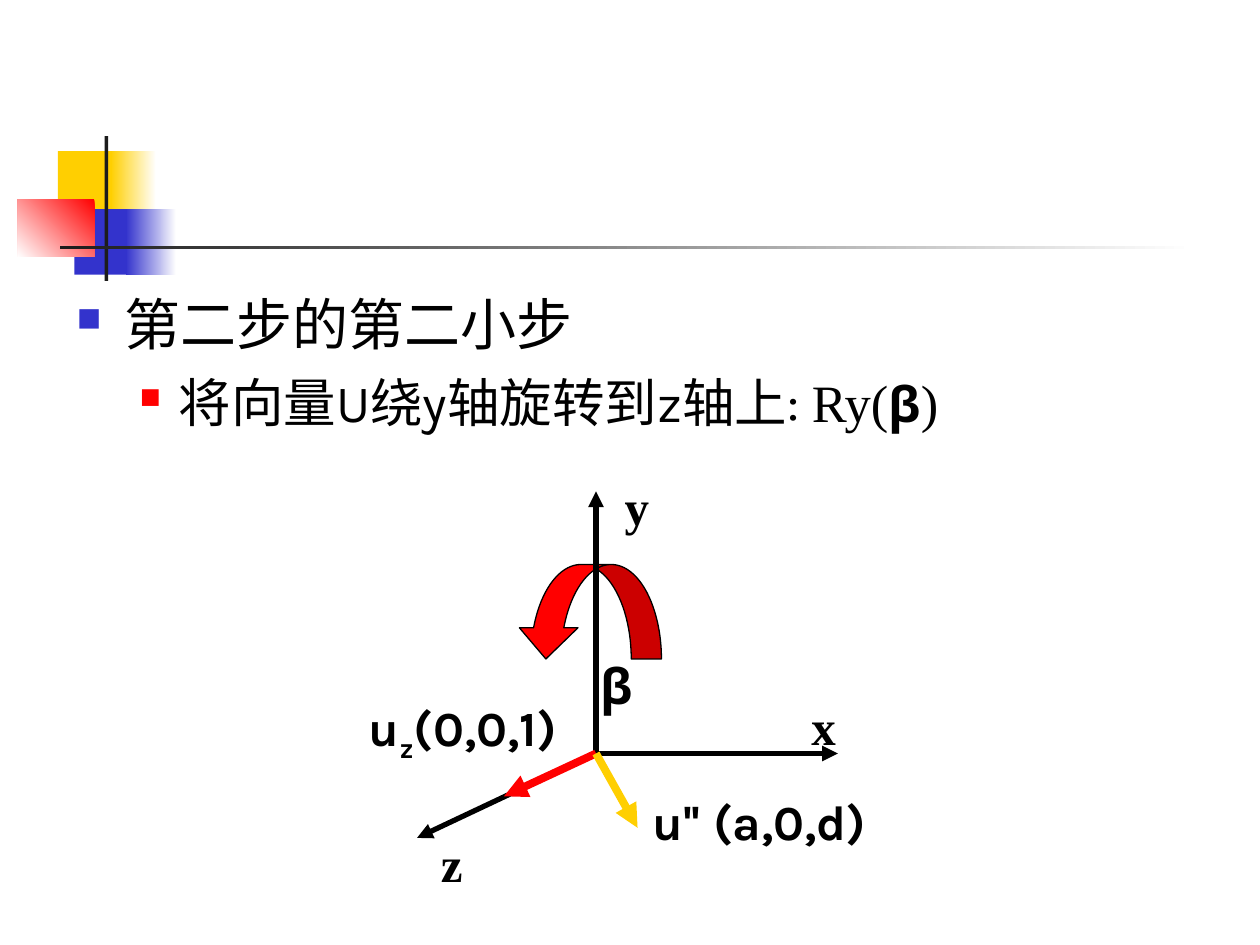
"""Build a slide on rotating a vector about the y axis onto the z axis."""
from pptx import Presentation
from pptx.dml.color import RGBColor
from pptx.enum.shapes import MSO_CONNECTOR, MSO_SHAPE
from pptx.oxml.ns import qn
from pptx.util import Inches, Pt
from lxml.etree import SubElement

BLACK = RGBColor(0x00, 0x00, 0x00)
WHITE = RGBColor(0xFF, 0xFF, 0xFF)
CHARCOAL = RGBColor(0x1C, 0x1C, 0x1C)
YELLOW = RGBColor(0xFF, 0xCF, 0x01)
BLUE = RGBColor(0x33, 0x33, 0xCC)
RED = RGBColor(0xFF, 0x00, 0x00)
SERIF, SANS = "Times New Roman", "Karla"

DECORATIONS = [
    ((0.46, 1.2, 0.48, 0.52), (YELLOW,), 0),
    ((0.88, 1.2, 0.36, 0.52), (WHITE, YELLOW), 180),
    ((0.59, 1.66, 0.46, 0.52), (BLUE,), 0),
    ((1, 1.66, 0.4, 0.52), (WHITE, BLUE), 180),
    ((0.14, 1.58, 0.61, 0.46), (RED, WHITE), 225),
    ((0.83, 1.08, 0.03, 1.15), (CHARCOAL,), 0),
    ((0.48, 1.95, 9, 0.03), (WHITE, CHARCOAL), 180),
]
BODY_BOX = (0.51, 2.25, 8.94, 1.44)
BODY = [
    dict(runs=[("第二步的第二小步", dict(size=32, font=SERIF))],
         bullet=(BLUE, 60), indent=(0.38, -0.38)),
    dict(runs=[("将向量U绕y轴旋转到z轴上: ", dict(size=30, font=SANS)),
               ("Ry(", dict(size=30, font=SERIF)),
               ("β", dict(size=28, font=SANS, bold=True)),
               (")", dict(size=30, font=SERIF))],
         bullet=(RED, 55), indent=(0.81, -0.31), level=1, before=7.5),
]
ROTATION_BOX = (4.1, 4.48, 1.15, 0.75)
ROTATION_ADJUSTMENTS = (0.32, 0.62, 0.33)
ORIGIN = (4.73, 5.98)
AXES = [((4.73, 3.9), BLACK, 3), ((6.65, 5.98), BLACK, 3), ((3.31, 6.65), BLACK, 3)]
VECTORS = [((4, 6.32), RED, 4.5), ((5.06, 6.57), YELLOW, 4.5)]
SERIF_LABEL = dict(size=28, font=SERIF, bold=True)
SANS_LABEL = dict(size=28, font=SANS, bold=True)
LABELS = [
    ((6.34, 5.48, 0.39, 0.57), [("x", SERIF_LABEL)], None),
    ((3.4, 6.57, 0.37, 0.57), [("z", SERIF_LABEL)], None),
    ((4.86, 3.73, 0.39, 0.57), [("y", SERIF_LABEL)], None),
    ((4.67, 5.15, 0.45, 0.57), [("β", SANS_LABEL)], None),
    ((5.08, 6.23, 1.95, 0.57), [("u'' (a,0,d)", SANS_LABEL)], None),
    ((2.83, 5.43, 1.71, 0.69),
     [("u", SANS_LABEL), ("z", dict(SANS_LABEL, baseline=-25)), ("(0,0,1)", SANS_LABEL)], 1.1),
]


def add_run(paragraph, text, size, font, bold=False, baseline=0):
    run = paragraph.add_run()
    run.text = text
    run.font.size, run.font.name, run.font.bold = Pt(size), font, bold
    run.font.color.rgb = BLACK
    if baseline:
        run.font._element.set("baseline", str(baseline * 1000))


def add_bullet(paragraph, color, percent, left, first):
    properties = paragraph._p.get_or_add_pPr()
    properties.set("marL", str(Inches(left)))
    properties.set("indent", str(Inches(first)))
    bullet_color = SubElement(properties, qn("a:buClr"))
    SubElement(bullet_color, qn("a:srgbClr"), val=str(color))
    SubElement(properties, qn("a:buSzPct"), val=str(percent * 1000))
    SubElement(properties, qn("a:buChar"), char="■")


def add_text(slide, box, paragraphs, wrap=False):
    frame = slide.shapes.add_textbox(*map(Inches, box)).text_frame
    frame.word_wrap = wrap
    for index, content in enumerate(paragraphs):
        paragraph = frame.add_paragraph() if index else frame.paragraphs[0]
        paragraph.level = content.get("level", 0)
        if "before" in content:
            paragraph.space_before = Pt(content["before"])
        if content.get("spacing"):
            paragraph.line_spacing = content["spacing"]
        if "bullet" in content:
            add_bullet(paragraph, *content["bullet"], *content["indent"])
        for text, style in content["runs"]:
            add_run(paragraph, text, **style)


def add_block(slide, box, colors, angle=0, kind=MSO_SHAPE.RECTANGLE):
    shape = slide.shapes.add_shape(kind, *map(Inches, box))
    shape.shadow.inherit = False
    shape.line.fill.background()
    if len(colors) == 1:
        shape.fill.solid()
        shape.fill.fore_color.rgb = colors[0]
    else:
        shape.fill.gradient()
        shape.fill.gradient_angle = angle
        for stop, color in zip(shape.fill.gradient_stops, colors):
            stop.color.rgb = color
    return shape


def add_rotation(slide):
    shape = add_block(slide, ROTATION_BOX, (RED,), kind=MSO_SHAPE.CURVED_DOWN_ARROW)
    for index, value in enumerate(ROTATION_ADJUSTMENTS):
        shape.adjustments[index] = value
    shape.line.color.rgb = BLACK
    shape.line.width = Pt(0.75)
    shape._element.spPr.find(qn("a:xfrm")).set("flipH", "1")


def add_arrow(slide, tip, color, width):
    arrow = slide.shapes.add_connector(MSO_CONNECTOR.STRAIGHT, *map(Inches, ORIGIN + tip))
    arrow.line.color.rgb = color
    arrow.line.width = Pt(width)
    SubElement(arrow.line._get_or_add_ln(), qn("a:tailEnd"), type="triangle")
    SubElement(arrow._element.spPr, qn("a:effectLst"))


def main():
    presentation = Presentation()
    presentation.slide_width, presentation.slide_height = Inches(10), Inches(7.5)
    slide = presentation.slides.add_slide(presentation.slide_layouts[6])
    for box, colors, angle in DECORATIONS:
        add_block(slide, box, colors, angle)
    add_text(slide, BODY_BOX, BODY, wrap=True)
    add_rotation(slide)
    for tip, color, width in AXES + VECTORS:
        add_arrow(slide, tip, color, width)
    for box, runs, spacing in LABELS:
        add_text(slide, box, [dict(runs=runs, spacing=spacing)])
    presentation.save("out.pptx")


if __name__ == "__main__":
    main()
